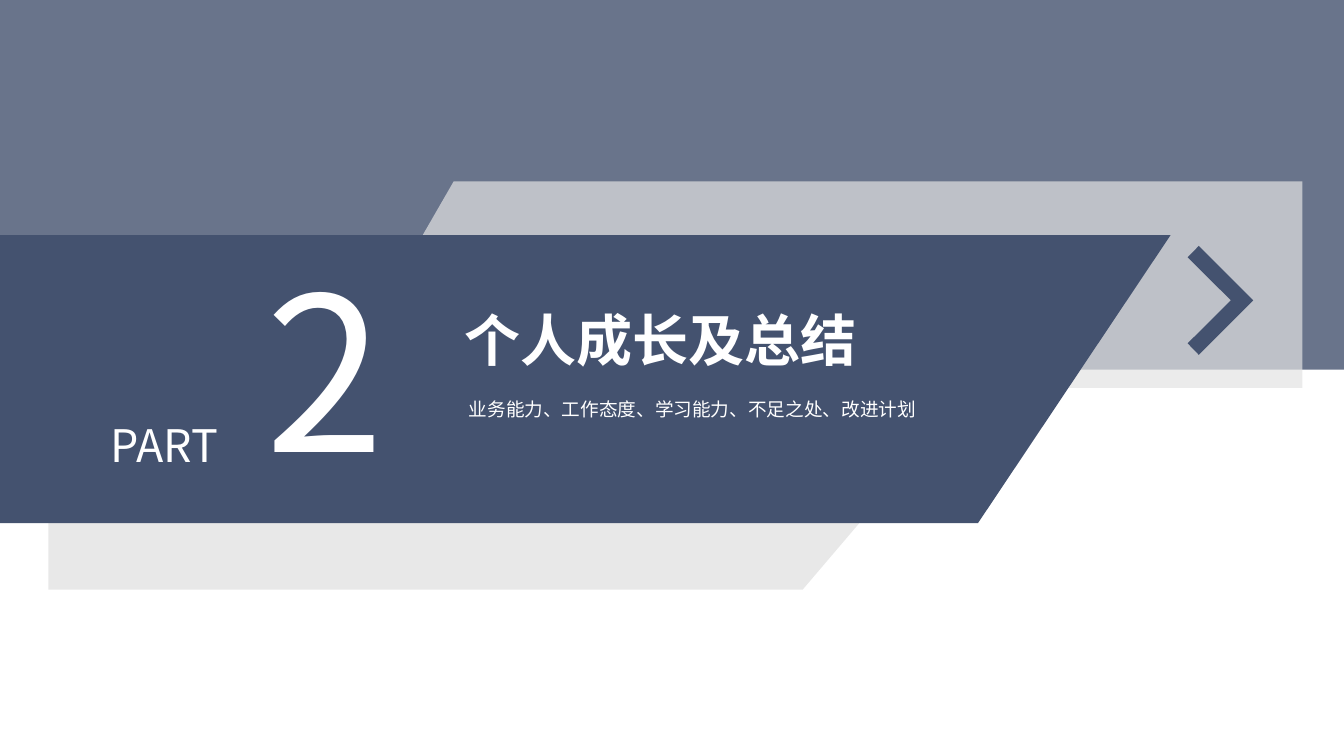
from lxml import etree
from pptx import Presentation
from pptx import util as u
from pptx.dml.color import RGBColor
from pptx.enum import shapes, text
from pptx.oxml import ns

W, H = 13.33, 7.5
FONT = "Noto Sans CJK SC"
C = {"navy": "44526F", "silver": "E3E3E3", "mist": "E8E8E8", "white": "FFFFFF"}


def paint(sp, color, alpha=100):
    sp.shadow.inherit = False
    sp.line.fill.background()
    sp.fill.solid()
    sp.fill.fore_color.rgb = RGBColor.from_string(C[color])
    if alpha < 100:
        clr = sp.element.spPr.find(".//" + ns.qn("a:srgbClr"))
        etree.SubElement(clr, ns.qn("a:alpha"), val=str(alpha * 1000))


def polygon(s, box, points, color, alpha=100):
    x, y, w, h = box
    pts = [(u.Inches(x + w * px), u.Inches(y + h * py)) for px, py in points]
    fb = s.shapes.build_freeform(*pts[0], scale=1.0)
    fb.add_line_segments(pts[1:], close=True)
    paint(fb.convert_to_shape(), color, alpha)


def write(sp, box, words, size, bold=False, align=text.PP_ALIGN.LEFT,
          pad=0.05, lift=0):
    sp.left, sp.top, sp.width, sp.height = [u.Inches(v) for v in box]
    tf = sp.text_frame
    tf.word_wrap = True
    tf.auto_size = text.MSO_AUTO_SIZE.NONE
    tf.vertical_anchor = text.MSO_ANCHOR.MIDDLE
    tf.margin_left = tf.margin_right = u.Inches(0.1)
    tf.margin_top, tf.margin_bottom = u.Inches(pad), u.Inches(pad + 2 * lift)
    p = tf.paragraphs[0]
    p.alignment = align
    r = p.add_run()
    r.text = words
    r.font.size, r.font.bold, r.font.name = u.Pt(size), bold, FONT
    r.font.color.rgb = RGBColor.from_string(C["white"])
    etree.SubElement(r.font._element, ns.qn("a:ea"), typeface=FONT)


def textbox(s):
    return s.shapes.add_textbox(0, 0, u.Inches(1), u.Inches(1))


def backdrop(s, box):
    x, y, w, h = box
    sp = s.shapes.add_shape(shapes.MSO_SHAPE.RECTANGLE,
                            *[u.Inches(v) for v in (x, y, w, h * 0.489)])
    paint(sp, "navy", 80)
    polygon(s, (x + w * 0.249, y + h * 0.24, w * 0.72, h * 0.273),
            [(0.123, 0), (1, 0), (1, 1), (0, 1)], "silver", 70)
    polygon(s, (x + w * 0.036, y + h * 0.507, w * 0.692, h * 0.273),
            [(0, 0), (1, 0), (0.811, 1), (0, 1)], "mist")


def banner(s, box):
    x, y, w, h = box
    polygon(s, box, [(0, 0), (1, 0), (0.8355, 1), (0, 1)], "navy")
    center = text.PP_ALIGN.CENTER
    write(textbox(s), (x + w * 0.075, y + h * 0.624, w * 0.131, h * 0.225),
          "PART", 32, align=center, lift=0.03)
    write(textbox(s), (x + w * 0.173, y + h * 0.021, w * 0.21, h * 0.94),
          "2", 153.3, align=center, lift=0.1)
    title = s.shapes.title
    title.element.getparent().append(title.element)
    write(title, (x + w * 0.3885, y + h * 0.2245, w * 0.368, h * 0.27),
          "个人成长及总结", 40, bold=True)
    write(textbox(s), (x + w * 0.392, y + h * 0.551, w * 0.4436, h * 0.109),
          "业务能力、工作态度、学习能力、不足之处、改进计划", 13.3, pad=0.04)


def chevron(s, box):
    polygon(s, box, [(0.17, 0), (1, 0.5), (0.17, 1),
                     (0, 0.895), (0.66, 0.5), (0, 0.105)], "navy")


def section_slide(prs):
    s = prs.slides.add_slide(prs.slide_layouts[5])
    backdrop(s, (0, 0, W, H))
    banner(s, (0, H * 0.311, W * 0.871, H * 0.381))
    chevron(s, (W * 0.8837, H * 0.3253, W * 0.0488, H * 0.144))


def main():
    prs = Presentation()
    prs.slide_width, prs.slide_height = u.Inches(W), u.Inches(H)
    section_slide(prs)
    prs.save("out.pptx")


if __name__ == "__main__":
    main()
